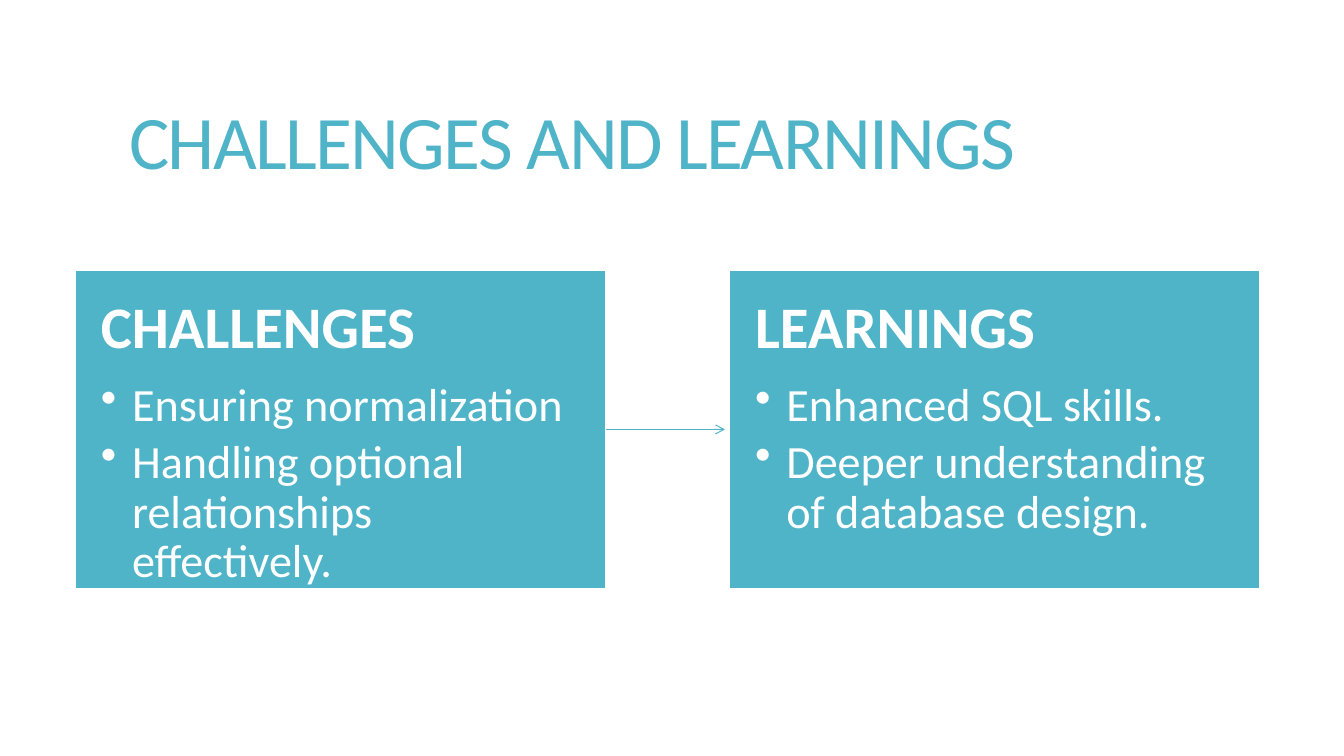
from lxml import etree
from pptx import Presentation
from pptx.dml.color import RGBColor
from pptx.enum import shapes, text
from pptx.oxml import ns
from pptx.util import Inches, Pt

TEAL, WHITE = "50B4C8", "FFFFFF"


def color(code):
    return RGBColor.from_string(code)


def write(para, words, **look):
    """Add one run of Calibri words, with size, bold and colour from look."""
    run = para.add_run()
    run.text = words
    run.font.name = "Calibri"
    run.font.color.rgb = color(look.pop("code"))
    for name, value in look.items():
        setattr(run.font, name, value)
    return run


deck = Presentation()
deck.slide_width, deck.slide_height = Inches(13.33), Inches(7.5)
slide = deck.slides.add_slide(deck.slide_layouts[6])

# Title
title = slide.shapes.add_textbox(Inches(0.72), Inches(0.55), Inches(11.78), Inches(1.81))
frame = title.text_frame
frame.word_wrap = True
frame.vertical_anchor = text.MSO_ANCHOR.MIDDLE
frame.margin_left = Inches(0.56)
para = frame.paragraphs[0]
para.line_spacing = 0.85
run = write(para, "CHALLENGES AND LEARNINGS", size=Pt(54), code=TEAL)
run.font._element.set("spc", "-120")

# Panels
panels = {
    "CHALLENGES": ["Ensuring normalization",
                   "Handling optional relationships effectively."],
    "LEARNINGS": ["Enhanced SQL skills.",
                  "Deeper understanding of database design."],
}
boxes = []
for left, (head, points) in zip((0.74, 7.23), panels.items()):
    box = slide.shapes.add_shape(shapes.MSO_SHAPE.RECTANGLE, Inches(left), Inches(2.68),
                                 Inches(5.27), Inches(3.16))
    boxes.append(box)
    box.shadow.inherit = False
    box.fill.solid()
    box.fill.fore_color.rgb = color(TEAL)
    box.line.color.rgb = color(WHITE)
    box.line.width = Pt(1.5)

    frame = box.text_frame
    frame.word_wrap = True
    frame.vertical_anchor = text.MSO_ANCHOR.TOP
    for side, inset in {"left": 0.26, "right": 0.26, "top": 0.27, "bottom": 0.27}.items():
        setattr(frame, f"margin_{side}", Inches(inset))

    para = frame.paragraphs[0]
    para.space_after = Pt(14.7)
    write(para, head, size=Pt(42), bold=True, code=WHITE)
    for point in points:
        para = frame.add_paragraph()
        para.level = 1
        para.space_after = Pt(5)
        write(para, point, size=Pt(33), bold=False, code=WHITE)
        props = para._p.get_or_add_pPr()
        props.set("marL", str(Inches(0.31)))
        props.set("indent", str(-Inches(0.31)))
        etree.SubElement(props, ns.qn("a:buChar")).set("char", "•")
    for para in frame.paragraphs:
        para.alignment = text.PP_ALIGN.LEFT
        para.line_spacing = 0.9

# Arrow, stopping just short of the second panel
arrow = slide.shapes.add_connector(shapes.MSO_CONNECTOR.STRAIGHT, Inches(6.01), Inches(4.26),
                                   Inches(7.19), Inches(4.26))
arrow.begin_connect(boxes[0], 3)
arrow.line.color.rgb = color(TEAL)
arrow.line.width = Pt(0.75)
etree.SubElement(arrow.line._get_or_add_ln(), ns.qn("a:tailEnd")).set("type", "arrow")
etree.SubElement(arrow._element.spPr, ns.qn("a:effectLst"))

deck.save("out.pptx")
